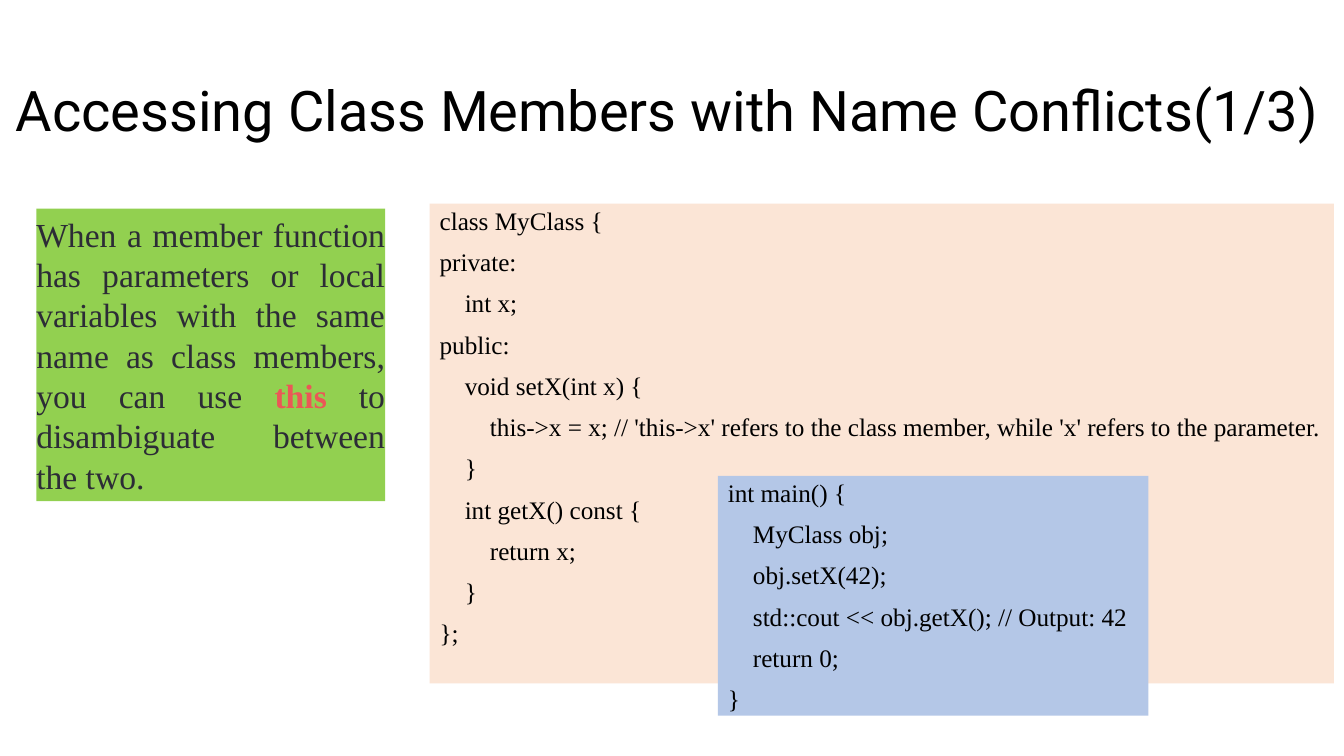
import pptx
import pptx.util
import pptx.dml.color
import pptx.enum.text
import pptx.enum.shapes
import pptx.oxml
from dataclasses import dataclass

Inches = pptx.util.Inches
Pt = pptx.util.Pt
PP_ALIGN = pptx.enum.text.PP_ALIGN
MSO_ANCHOR = pptx.enum.text.MSO_ANCHOR
MSO_AUTO_SIZE = pptx.enum.text.MSO_AUTO_SIZE


@dataclass(frozen=True)
class Theme:
    """Fonts, type sizes and colours of the slide."""
    title_font: str = "Roboto"
    body_font: str = "Times New Roman"
    title_size: int = 40
    note_size: int = 24
    code_size: int = 18
    black: str = "000000"
    note_text: str = "2C2C36"
    keyword: str = "EB5757"
    note_fill: str = "92D050"
    class_fill: str = "FBE5D6"
    main_fill: str = "B4C7E7"


THEME = Theme()

CLASS_CODE = """class MyClass {
private:
    int x;
public:
    void setX(int x) {
        this->x = x; // 'this->x' refers to the class member, while 'x' refers to the parameter.
    }
    int getX() const {
        return x;
    }
};"""

MAIN_CODE = """int main() {
    MyClass obj;
    obj.setX(42);
    std::cout << obj.getX(); // Output: 42
    return 0;
}"""

NOTE_PARTS = [
    ("When a member function has parameters or local variables with the same name "
     "as class members, you can use ", False),
    ("this", True),
    (" to disambiguate between the two. ", False),
]


def rgb(value):
    """Turn a hex string into a colour."""
    return pptx.dml.color.RGBColor.from_string(value)


def place(sp, left, top, width, height):
    """Set the position and size of a shape."""
    sp.left, sp.top = Inches(left), Inches(top)
    sp.width, sp.height = Inches(width), Inches(height)


def fill(sp, color):
    """Give a shape a solid fill."""
    sp.fill.solid()
    sp.fill.fore_color.rgb = rgb(color)


def style(r, font, size, color, bold=False):
    """Format one run."""
    r.font.name = font
    r.font.size = Pt(size)
    r.font.bold = bold
    r.font.color.rgb = rgb(color)


def remove_bullet(p):
    """Clear the bullet and indent of a paragraph."""
    pPr = p._p.get_or_add_pPr()
    pPr.set("marL", "0")
    pPr.set("indent", "0")
    pPr.append(pptx.oxml.parse_xml(
        '<a:buNone xmlns:a="http://schemas.openxmlformats.org/drawingml/2006/main"/>'))


def fill_title(sp, text):
    """Place and format the slide title."""
    place(sp, 0, 0.4, 13.23, 1.45)
    tf = sp.text_frame
    tf.text = text
    tf.auto_size = MSO_AUTO_SIZE.NONE
    tf.vertical_anchor = MSO_ANCHOR.MIDDLE
    p = tf.paragraphs[0]
    p.alignment = PP_ALIGN.CENTER
    p.line_spacing = 0.9
    style(p.runs[0], THEME.title_font, THEME.title_size, THEME.black)


def fill_code(sp, code, color):
    """Write a code listing into a filled shape."""
    fill(sp, color)
    tf = sp.text_frame
    tf.text = code
    tf.word_wrap = True
    tf.auto_size = MSO_AUTO_SIZE.NONE
    tf.vertical_anchor = MSO_ANCHOR.TOP
    for i, p in enumerate(tf.paragraphs):
        remove_bullet(p)
        p.alignment = PP_ALIGN.LEFT
        p.line_spacing = 0.9
        p.space_before = Pt(10 if i else 0)
        style(p.runs[0], THEME.body_font, THEME.code_size, THEME.black)


def fill_note(sp, parts):
    """Write the justified explanation with its highlighted keyword."""
    place(sp, 0.36, 2.02, 3.46, 3)
    fill(sp, THEME.note_fill)
    tf = sp.text_frame
    tf.word_wrap = True
    tf.auto_size = MSO_AUTO_SIZE.SHAPE_TO_FIT_TEXT
    tf.vertical_anchor = MSO_ANCHOR.MIDDLE
    tf.margin_left = tf.margin_right = 0
    tf.margin_top = tf.margin_bottom = Inches(0.08)
    p = tf.paragraphs[0]
    remove_bullet(p)
    p.alignment = PP_ALIGN.JUSTIFY
    p.line_spacing = 1.0
    p.space_before = Pt(0)
    for text, is_keyword in parts:
        r = p.add_run()
        r.text = text
        color = THEME.keyword if is_keyword else THEME.note_text
        style(r, THEME.body_font, THEME.note_size, color, is_keyword)


def add_panel(s, left, top, width, height):
    """Add a plain rectangle without line or shadow."""
    sp = s.shapes.add_shape(pptx.enum.shapes.MSO_SHAPE.RECTANGLE, Inches(left),
                            Inches(top), Inches(width), Inches(height))
    sp.shadow.inherit = False
    sp.line.fill.background()
    return sp


def main():
    """Build and save the slide."""
    prs = pptx.Presentation()
    prs.slide_width, prs.slide_height = Inches(13.33), Inches(7.5)
    s = prs.slides.add_slide(prs.slide_layouts[3])
    title, class_box, note = list(s.placeholders)[:3]
    fill_title(title, "Accessing Class Members with Name Conflicts(1/3) ")
    place(class_box, 4.26, 2.02, 8.97, 4.76)
    fill_code(class_box, CLASS_CODE, THEME.class_fill)
    fill_note(note, NOTE_PARTS)
    fill_code(add_panel(s, 7.12, 4.72, 4.27, 2.38), MAIN_CODE, THEME.main_fill)
    prs.save("out.pptx")


if __name__ == "__main__":
    main()
